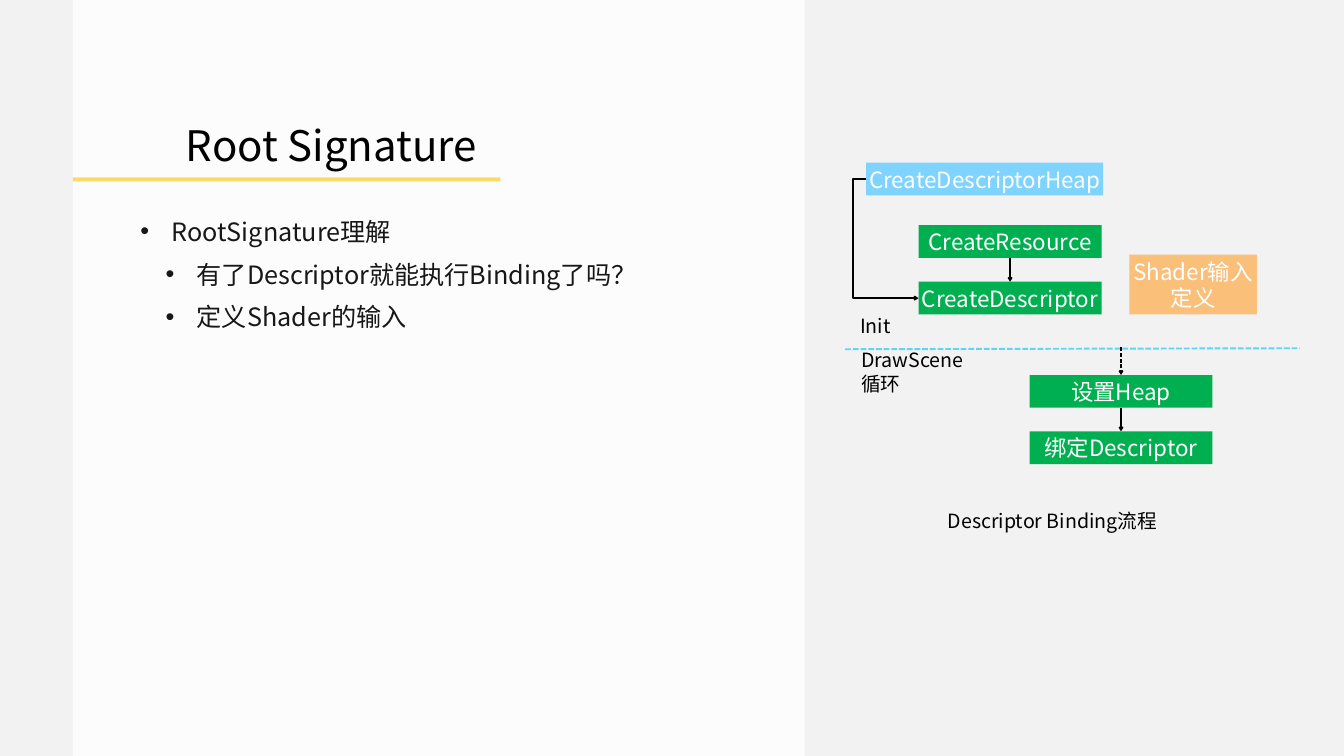
from lxml import etree
from pptx import Presentation
from pptx import util as u
from pptx.dml.color import RGBColor
from pptx.enum import dml, shapes, text
from pptx.oxml.ns import qn

Cm, Pt = u.Cm, u.Pt
FONT = "Noto Sans CJK SC"
HUES = {"back": "F2F2F2", "white": "FFFFFF", "gold": "FFD966", "body": "171717",
        "black": "000000", "sky": "7FD4FF", "green": "00B050", "sand": "FABF78",
        "dash": "5DD4FF"}
HUES = {name: RGBColor.from_string(code) for name, code in HUES.items()}

deck = Presentation()
deck.slide_width, deck.slide_height = Cm(67.74), Cm(38.1)
slide = deck.slides.add_slide(deck.slide_layouts[6])
slide.background.fill.solid()
slide.background.fill.fore_color.rgb = HUES["back"]
tree = slide.shapes


def write(shape, lines, size, hue, align=text.PP_ALIGN.LEFT, wrap=True, pad=0.15):
    """Fill a shape with lines of text, centred in its height."""
    frame = shape.text_frame
    frame.text = "\n".join(lines)
    frame.word_wrap = wrap
    frame.auto_size = text.MSO_AUTO_SIZE.NONE
    frame.vertical_anchor = text.MSO_ANCHOR.MIDDLE
    frame.margin_left = frame.margin_right = Cm(pad)
    frame.margin_top = frame.margin_bottom = Cm(0.15)
    for para in frame.paragraphs:
        para.alignment = align
        for run in para.runs:
            run.font.size = Pt(size)
            run.font.name = FONT
            run.font.color.rgb = HUES[hue]
            etree.SubElement(run.font._element, qn("a:ea"), typeface=FONT)
    return frame


def style(line, hue="black", width=2, dash=False, head=True):
    """Give a connector its colour, dash and arrowhead."""
    line.line.color.rgb = HUES[hue]
    line.line.width = Pt(width)
    if dash:
        line.line.dash_style = dml.MSO_LINE.SQUARE_DOT
        line.get_or_add_ln().find(qn("a:prstDash")).set("val", "sysDash")
    if head:
        etree.SubElement(line.get_or_add_ln(), qn("a:tailEnd"), type="arrow")
    etree.SubElement(line._element.spPr, qn("a:effectLst"))


# Panel and title rule
for hue, area in [("white", (3.68, 0, 36.88, 38.1)), ("gold", (3.68, 8.94, 21.54, 0.2))]:
    rect = tree.add_shape(shapes.MSO_SHAPE.RECTANGLE, *map(Cm, area))
    rect.shadow.inherit = False
    rect.fill.solid()
    rect.fill.fore_color.rgb = HUES[hue]
    rect.line.fill.background()
    if hue == "white":
        tint = rect._element.spPr.find(qn("a:solidFill"))[0]
        etree.SubElement(tint, qn("a:alpha"), val="80000")

# Title
title = tree.add_textbox(Cm(6.68), Cm(4.57), Cm(26.16), Cm(4.14))
para = write(title, ["Root Signature"], 60, "black").paragraphs[0]
para.line_spacing = 1.5
para._p.get_or_add_pPr().set("marL", str(Cm(2.54)))

# Bullets
body = tree.add_textbox(Cm(6.83), Cm(10.74), Cm(32.16), Cm(6.15))
points = ["RootSignature理解", "有了Descriptor就能执行Binding了吗？", "定义Shader的输入"]
frame = write(body, points, 36, "body", pad=0.25)
frame.vertical_anchor = text.MSO_ANCHOR.TOP
for i, para in enumerate(frame.paragraphs):
    if i:
        para.level = 1
        para.space_before = Pt(18)
    props = para._p.get_or_add_pPr()
    props.set("marL", str(Cm(2.84 if i else 1.57)))
    props.set("indent", str(Cm(-1.57)))
    etree.SubElement(props, qn("a:buFont"), typeface="Arial")
    etree.SubElement(props, qn("a:buChar"), char="•")

# Flow boxes
steps = [("heap", "CreateDescriptorHeap", "sky", 43.66, 8.2, 11.94, 1.65),
         ("source", "CreateResource", "green", 46.3, 11.35, 9.22, 1.65),
         ("desc", "CreateDescriptor", "green", 46.3, 14.2, 9.22, 1.65),
         ("set", "设置Heap", "green", 51.89, 18.9, 9.22, 1.65),
         ("bind", "绑定Descriptor", "green", 51.89, 21.74, 9.22, 1.65),
         ("shader", "Shader输入定义", "sand", 56.92, 12.83, 6.43, 3.02)]
boxes = {}
for key, label, hue, *area in steps:
    box = tree.add_shape(shapes.MSO_SHAPE.RECTANGLE, *map(Cm, area))
    box.shadow.inherit = False
    box.fill.solid()
    box.fill.fore_color.rgb = HUES[hue]
    box.line.fill.background()
    write(box, [label], 32, "white", text.PP_ALIGN.CENTER, wrap=key == "shader")
    boxes[key] = box

# Arrows down between boxes
for start, end in [("source", "desc"), ("set", "bind")]:
    line = tree.add_connector(shapes.MSO_CONNECTOR.STRAIGHT, 0, 0, 0, 0)
    line.begin_connect(boxes[start], 2)
    line.end_connect(boxes[end], 0)
    style(line)

# Elbow from heap to descriptor, bowed out to the left
elbow = tree.add_connector(shapes.MSO_CONNECTOR.ELBOW, 0, 0, 0, 0)
elbow.begin_connect(boxes["heap"], 1)
elbow.end_connect(boxes["desc"], 1)
shape = elbow._element.spPr.find(qn("a:prstGeom"))
guides = shape.find(qn("a:avLst"))
if guides is None:
    guides = etree.SubElement(shape, qn("a:avLst"))
etree.SubElement(guides, qn("a:gd"), name="adj1", fmla="val -25200")
style(elbow)

# Divider between the phases, and the dashed arrow below it
split = tree.add_connector(shapes.MSO_CONNECTOR.STRAIGHT,
                           Cm(42.6), Cm(17.6), Cm(65.51), Cm(17.55))
style(split, "dash", 2.75, dash=True, head=False)
drop = tree.add_connector(shapes.MSO_CONNECTOR.STRAIGHT,
                          Cm(56.5), Cm(17.5), Cm(56.5), Cm(18.9))
drop.end_connect(boxes["set"], 0)
style(drop, dash=True)

# Phase names and caption
left, mid = text.PP_ALIGN.LEFT, text.PP_ALIGN.CENTER
for label, align, *area in [("Init", left, 43.2, 15.7, 3.18, 1.47),
                            ("DrawScene循环", left, 43.26, 17.4, 5.69, 2.67),
                            ("Descriptor Binding流程", mid, 43.18, 25.53, 19.71, 1.47)]:
    write(tree.add_textbox(*map(Cm, area)), [label], 28, "black", align)

deck.save("out.pptx")
